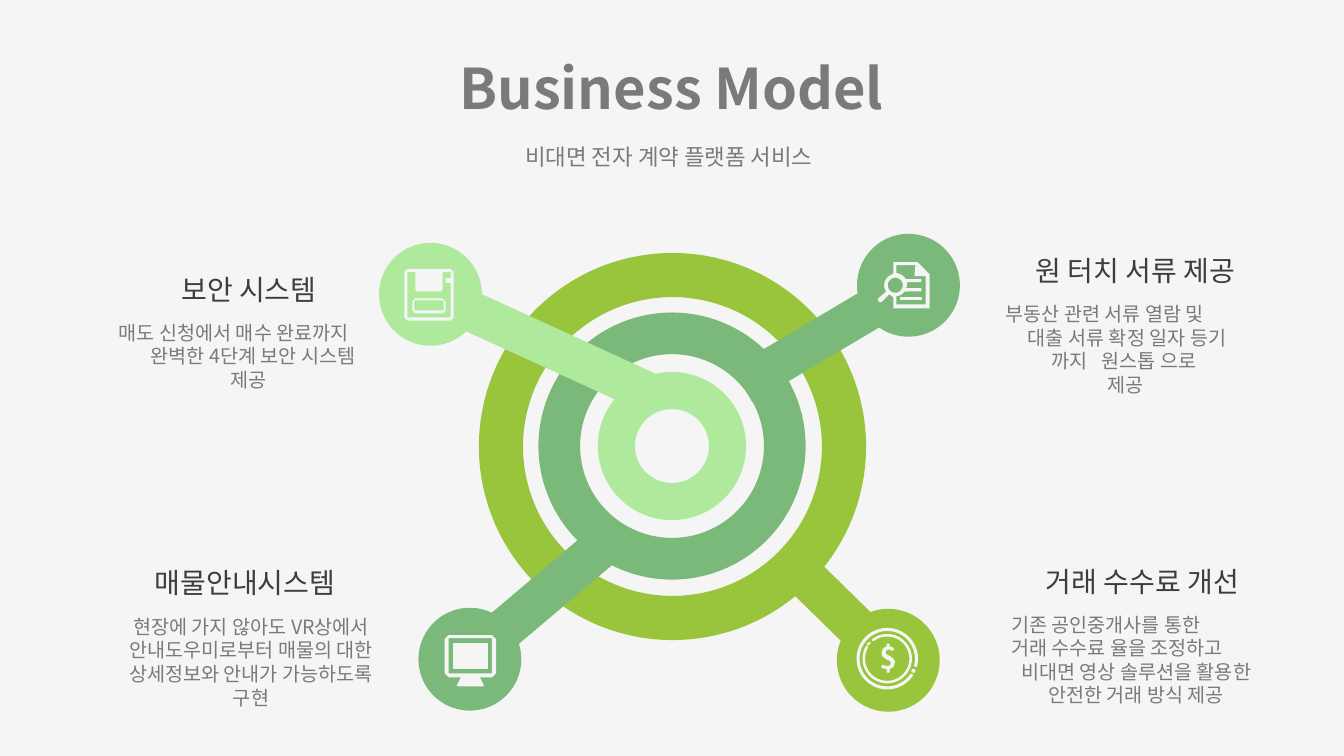
from dataclasses import dataclass
from math import cos, radians, sin

from lxml.etree import SubElement
from pptx import Presentation
from pptx.dml.color import RGBColor
from pptx.enum.shapes import MSO_SHAPE
from pptx.enum.text import MSO_ANCHOR, PP_ALIGN
from pptx.oxml.ns import qn
from pptx.util import Inches, Pt

FONT = "Noto Sans CJK KR"
COLORS = {"gray": "808080", "dark": "404040", "pale": "B6F3A3", "mid": "81C181",
          "lime": "9FCE3E", "white": "FFFFFF", "black": "000000"}
Point = tuple[float, float]
Contour = list[Point]


@dataclass
class Line:
    text: str
    shift: float = 0  # distance of the line's centre from the box's centre
    tabs: tuple[float, ...] = ()


@dataclass
class TextBlock:
    left: float
    top: float
    width: float
    height: float
    lines: list[Line]
    size: int
    color: str = "gray"
    bold: bool = False
    anchor: MSO_ANCHOR = MSO_ANCHOR.TOP


@dataclass
class Figure:
    kind: MSO_SHAPE
    left: float
    top: float
    width: float
    height: float
    color: str
    rotation: float = 0
    adjust: float | None = None


@dataclass
class Icon:
    contours: list[Contour]
    line_width: float = 0


def color_of(name: str) -> RGBColor:
    return RGBColor.from_string(COLORS[name])


def paint(shape, color: str, line_width: float = 0) -> None:
    shape.shadow.inherit = False
    shape.fill.solid()
    shape.fill.fore_color.rgb = color_of(color)
    if line_width:
        shape.line.color.rgb = color_of(color)
        shape.line.width = Pt(line_width)
    else:
        shape.line.fill.background()


def add_figure(page, figure: Figure):
    shape = page.shapes.add_shape(figure.kind, *map(Inches, (
        figure.left, figure.top, figure.width, figure.height)))
    shape.rotation = figure.rotation
    if figure.adjust is not None:
        shape.adjustments[0] = figure.adjust
    paint(shape, figure.color)
    return shape


def add_icon(page, icon: Icon) -> None:
    contours = [[(Inches(x), Inches(y)) for x, y in contour] for contour in icon.contours]
    builder = page.shapes.build_freeform(*contours[0][0], scale=1.0)
    for index, (start, *rest) in enumerate(contours):
        if index:
            builder.move_to(*start)
        builder.add_line_segments(rest, close=True)
    paint(builder.convert_to_shape(), "white", icon.line_width)


def add_text(page, block: TextBlock) -> None:
    box = page.shapes.add_textbox(*map(Inches, (
        block.left, block.top, block.width, block.height)))
    frame = box.text_frame
    frame.word_wrap = True
    frame.vertical_anchor = block.anchor
    for index, line in enumerate(block.lines):
        para = frame.add_paragraph() if index else frame.paragraphs[0]
        para.alignment = PP_ALIGN.LEFT if line.tabs else PP_ALIGN.CENTER
        properties = para._p.get_or_add_pPr()
        # Both margins are explicit so that no line takes over its neighbour's
        margins = {"marL": max(line.shift, 0), "marR": max(-line.shift, 0), "indent": 0}
        for name, value in margins.items():
            properties.set(name, str(Inches(2 * value)))
        if line.tabs:
            stops = SubElement(properties, qn("a:tabLst"))
            for stop in line.tabs:
                SubElement(stops, qn("a:tab"), pos=str(Inches(stop)), algn="l")
        span = para.add_run()
        span.text = line.text
        span.font.color.rgb = color_of(block.color)
        formats = {"name": FONT, "size": Pt(block.size), "bold": block.bold}
        for name, value in formats.items():
            setattr(span.font, name, value)
        SubElement(span._r.get_or_add_rPr(), qn("a:ea"), typeface=FONT)


def bevel(left: float, top: float, right: float, bottom: float, cut: float = 0.03) -> Contour:
    return [(left + cut, top), (left, top + cut), (left, bottom - cut), (left + cut, bottom),
            (right - cut, bottom), (right, bottom - cut), (right, top + cut), (right - cut, top)]


def rectangle(left: float, top: float, right: float, bottom: float) -> Contour:
    return [(left, top), (left, bottom), (right, bottom), (right, top)]


def arc(center: Point, radius: float, start: float, end: float) -> Contour:
    angles = [radians(start + (end - start) * step / 48) for step in range(49)]
    return [(center[0] + radius * cos(a), center[1] + radius * sin(a)) for a in angles]


def ring(center: Point, outer: float, inner: float, start: float, end: float) -> Contour:
    return arc(center, outer, start, end) + arc(center, inner, end, start)


def curve(start: Point, *pieces: tuple[Point, ...]) -> Contour:
    """Join straight pieces of one point and cubic pieces of three."""
    points = [start]
    for piece in pieces:
        if len(piece) == 1:
            points.append(piece[0])
            continue
        corners = (points[-1], *piece)
        for step in range(1, 9):
            t = step / 8
            weights = ((1 - t) ** 3, 3 * t * (1 - t) ** 2, 3 * t * t * (1 - t), t ** 3)
            points.append(tuple(sum(w * c[axis] for w, c in zip(weights, corners))
                                for axis in (0, 1)))
    return points


DONUT, BAR, DISC = MSO_SHAPE.DONUT, MSO_SHAPE.RECTANGLE, MSO_SHAPE.OVAL
FIGURES = [
    Figure(DONUT, 5.93, 3.69, 1.47, 1.47, "pale", adjust=0.25),
    Figure(DONUT, 5.34, 3.1, 2.65, 2.65, "mid", adjust=0.156),
    Figure(DONUT, 4.75, 2.51, 3.84, 3.84, "lime", adjust=0.114),
    Figure(BAR, 7.2, 3.03, 2.32, 0.4, "mid", 329.3),
    Figure(BAR, 4.3, 3.25, 2.32, 0.4, "pale", 24.6),
    Figure(BAR, 7.49, 5.92, 1.81, 0.41, "lime", 44.4),
    Figure(BAR, 4.36, 5.75, 1.96, 0.41, "mid", 139.8),
    *(Figure(DISC, left, top, 1.02, 1.02, color) for left, top, color in (
        (8.5, 2.32, "mid"), (3.76, 2.41, "pale"), (8.3, 6.04, "lime"), (4.15, 6.03, "mid")))]

LENS, COIN = (8.88, 2.83), (8.8, 6.535)
DOLLAR = curve(
    (8.8, 6.61), ((8.79, 6.61), (8.77, 6.61), (8.76, 6.6)), ((8.76, 6.6), (8.75, 6.6), (8.75, 6.61)),
    ((8.74, 6.61), (8.75, 6.62), (8.75, 6.62)), ((8.76, 6.63), (8.78, 6.63), (8.8, 6.63)),
    ((8.8, 6.66),), ((8.8, 6.66), (8.8, 6.67), (8.81, 6.67)), ((8.81, 6.67), (8.82, 6.66), (8.82, 6.66)),
    ((8.82, 6.63),), ((8.85, 6.63), (8.87, 6.6), (8.87, 6.57)), ((8.87, 6.54), (8.85, 6.53), (8.82, 6.51)),
    ((8.79, 6.5), (8.78, 6.49), (8.78, 6.47)), ((8.78, 6.46), (8.79, 6.44), (8.81, 6.44)),
    ((8.83, 6.44), (8.84, 6.44), (8.84, 6.45)), ((8.85, 6.45), (8.86, 6.45), (8.86, 6.44)),
    ((8.86, 6.43), (8.86, 6.43), (8.85, 6.43)), ((8.85, 6.42), (8.83, 6.42), (8.82, 6.42)),
    ((8.82, 6.4),), ((8.82, 6.39), (8.82, 6.39), (8.81, 6.39)), ((8.8, 6.39), (8.8, 6.39), (8.8, 6.4)),
    ((8.8, 6.42),), ((8.77, 6.42), (8.75, 6.45), (8.75, 6.48)), ((8.75, 6.51), (8.77, 6.52), (8.8, 6.54)),
    ((8.83, 6.55), (8.84, 6.56), (8.84, 6.58)), ((8.84, 6.6), (8.83, 6.61), (8.8, 6.61)))
ICONS = [
    # Floppy disk
    Icon([bevel(4.01, 2.67, 4.5, 3.18),
          [(4.47, 2.81), (4.47, 3.15), (4.04, 3.15), (4.04, 2.7), (4.12, 2.7), (4.12, 2.87),
           (4.13, 2.89), (4.38, 2.89), (4.39, 2.87), (4.39, 2.7), (4.47, 2.7), (4.47, 2.76),
           (4.42, 2.76), (4.42, 2.81)]]),
    Icon([bevel(4.09, 2.96, 4.42, 3.11), rectangle(4.11, 2.98, 4.4, 3.08)]),
    # Document under a magnifier
    Icon([rectangle(8.93, 2.945, 9.14, 2.98)]),
    Icon([[(8.75, 2.99), (8.82, 2.92), (8.86, 2.95), (8.86, 3.06), (9.22, 3.06), (9.22, 2.72),
           (9.1, 2.6), (8.86, 2.6), (8.86, 2.71), *arc(LENS, 0.11, 250, 145), (8.71, 2.96),
           (8.71, 2.99), (8.73, 3)],
          [(8.89, 2.63), (9.08, 2.63), (9.07, 2.73), (9.08, 2.74), (9.18, 2.74), (9.18, 3.02),
           (8.89, 3.02), *arc(LENS, 0.11, 85, 35), (9.14, 2.89), (9.14, 2.86), (8.99, 2.86),
           (9, 2.8), (9.14, 2.8), (9.14, 2.77), (8.98, 2.77), *arc(LENS, 0.12, -30, -85)],
          arc(LENS, 0.075, 0, 360)]),
    # Coin
    Icon([ring(COIN, 0.3, 0.28, 33, 375)], 0.75),
    Icon([ring(COIN, 0.24, 0.225, 232, 571)], 0.75),
    Icon([arc((9.06, 6.655), 0.015, 0, 360)], 0.75),
    Icon([[(8.61, 6.4), (8.63, 6.38), (8.63, 6.37), (8.6, 6.39)]], 0.75),
    Icon([DOLLAR], 0.75),
    # Monitor
    Icon([rectangle(4.49, 6.38, 4.84, 6.64)]),
    Icon([[(4.45, 6.72), (4.57, 6.72), (4.53, 6.8), (4.54, 6.81), (4.79, 6.81), (4.8, 6.8),
           (4.76, 6.72), (4.88, 6.72), (4.92, 6.68), (4.92, 6.34), (4.88, 6.3), (4.45, 6.3),
           (4.41, 6.34), (4.41, 6.68)], rectangle(4.45, 6.33, 4.88, 6.68)])]

TEXTS = [
    TextBlock(0.88, 0.36, 11.56, 1, [Line("Business Model")], 40, bold=True, anchor=MSO_ANCHOR.MIDDLE),
    TextBlock(0.88, 1.37, 11.57, 0.41, [Line("비대면 전자 계약 플랫폼 서비스", -0.03)], 16),
    *(TextBlock(left, top, 2.86, 0.44, [Line(heading)], 20, "dark") for left, top, heading in (
        (1.04, 2.65, "보안 시스템"), (9.83, 2.47, "원 터치 서류 제공"),
        (9.9, 5.55, "거래 수수료 개선"), (1, 5.56, "매물안내시스템"))),
    TextBlock(1.04, 3.13, 2.86, 0.57, [
        Line("매도 신청에서 매수 완료까지", -0.15), Line("완벽한 4단계 보안 시스템", 0.04), Line("제공")], 14),
    TextBlock(9.83, 2.95, 2.66, 0.81, [
        Line("부동산 관련 서류 열람 및", -0.2), Line("대출 서류 확정 일자 등기", 0.02),
        Line("\t까지\t원스톱 으로", tabs=(0.14, 1.36)), Line("제공")], 14),
    TextBlock(9.9, 6.03, 2.66, 1.04, [
        Line("기존 공인중개사를 통한", -0.26), Line("거래 수수료 율을 조정하고", -0.15),
        Line("비대면 영상 솔루션을 활용한", 0.04), Line("안전한 거래 방식 제공", 0.04)], 14),
    TextBlock(1, 6.05, 2.98, 0.81, [
        Line("현장에 가지 않아도 VR상에서"), Line("안내도우미로부터 매물의 대한"),
        Line("상세정보와 안내가 가능하도록 구현")], 14)]


def main() -> None:
    deck = Presentation()
    deck.slide_width, deck.slide_height = Inches(13.33), Inches(7.5)
    page = deck.slides.add_slide(deck.slide_layouts[6])
    for figure in FIGURES:
        add_figure(page, figure)
    for icon in ICONS:
        add_icon(page, icon)
    for block in TEXTS:
        add_text(page, block)
    # Light tint over the whole slide
    tint = add_figure(page, Figure(BAR, 0, 0, 13.33, 7.5, "black"))
    SubElement(tint.fill._xPr.find(".//" + qn("a:srgbClr")), qn("a:alpha"), val="4000")
    deck.save("out.pptx")


if __name__ == "__main__":
    main()
